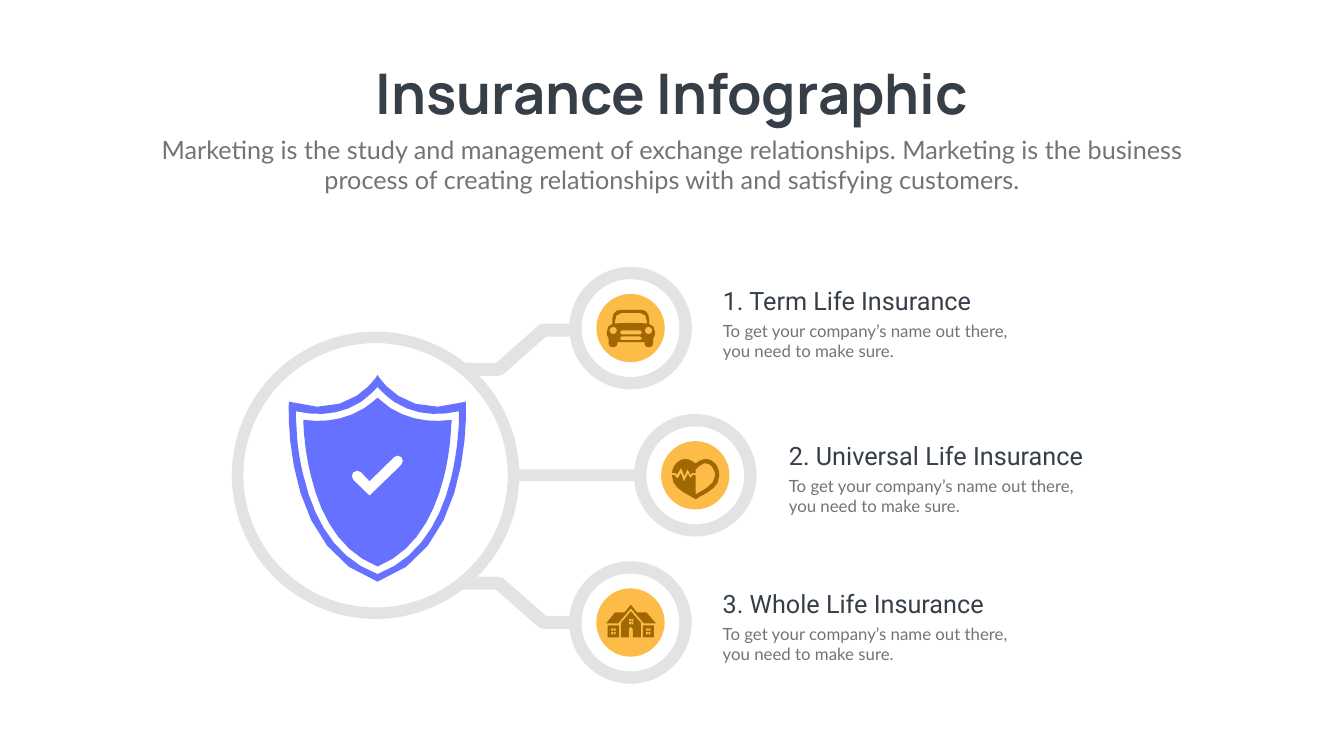
from math import ceil, dist, sqrt

from pptx import Presentation
from pptx.dml.color import RGBColor as RGB
from pptx.enum.shapes import MSO_SHAPE as SHAPE
from pptx.enum.text import PP_ALIGN as ALIGN
from pptx.util import Pt

DARK, GREY = RGB(0x36, 0x3E, 0x48), RGB(0x73, 0x75, 0x72)
TRACK, WHITE = RGB(0xE3, 0xE3, 0xE3), RGB(0xFF, 0xFF, 0xFF)
AMBER, BROWN = RGB(0xFD, 0xBB, 0x47), RGB(0xA0, 0x67, 0x02)
BLUE = RGB(0x66, 0x72, 0xFF)

TITLE = dict(name="Manrope", size=Pt(80), bold=True)
LEAD = dict(name="Lato", size=Pt(36))
HEADING = dict(name="Roboto", size=Pt(36))
BODY = dict(name="Lato", size=Pt(24))

UNIT = 0.72   # points per outline unit


# Outline pieces, in units around the centre of the outline
def bar(x, y, w, h):
    return f"M {x} {y} L {x + w} {y} {x + w} {y + h} {x} {y + h} Z "


def dot(x, y, r):
    k = 0.55 * r
    return (f"M {x + r} {y} C {x + r} {y + k} {x + k} {y + r} {x} {y + r} "
            f"{x - k} {y + r} {x - r} {y + k} {x - r} {y} "
            f"{x - r} {y - k} {x - k} {y - r} {x} {y - r} "
            f"{x + k} {y - r} {x + r} {y - k} {x + r} {y} Z ")


def pill(x, y, w, h):
    r, b = x + w, y + h
    return (f"M {x} {y} L {r} {y} C {r + 4} {y} {r + 4} {b} {r} {b} "
            f"L {x} {b} C {x - 4} {b} {x - 4} {y} {x} {y} Z ")


def panes(x, y, gap):
    return "".join(bar(x + i * 5, y + j * gap, 4, 5)
                   for i in range(2) for j in range(2))


ELBOW = ("M 82 199 L 243 199 253 202 338 277 445 277 "
         "C 453 277 458 283 458 290 458 297 452 303 445 303 "
         "L 334 303 324 300 239 225 83 225 "
         "C 75 225 69 219 69 212 69 205 74 199 82 199 Z")

CAR = (dot(-35, 4, 7.5) + dot(35, 4, 7.5) + pill(-19, 4, 38, 8) + pill(-19, 16, 38, 7)
       + "M 44 20 L 44 31 C 44 34 41 37 37 37 L 33 37 C 30 37 27 34 27 31 "
       "L 27 27 -27 27 -27 31 C -27 34 -30 37 -33 37 L -38 37 "
       "C -41 37 -44 34 -44 31 L -44 20 C -47 17 -48 12 -48 8 "
       "-48 -2 -44 -7 -37 -9 L -37 -19 C -37 -29 -30 -37 -21 -37 L 21 -37 "
       "C 30 -37 36 -29 36 -19 L 36 -9 C 43 -7 48 -2 48 8 48 12 47 17 44 20 Z "
       "M 0 -11 L 32 -10 32 -13 C 32 -23 28 -31 18 -31 "
       "L -18 -31 C -28 -31 -32 -23 -32 -13 L -32 -10 Z")

HEART = ("M 0 -24 C -4 -28 -9 -30 -14 -32 -19 -34 -25 -33 -30 -31 "
         "-35 -28 -39 -25 -42 -20 -45 -16 -46 -11 -47 -5 "
         "L -39 -5 -37 -2 -31 -12 -29 -16 -27 -11 -22 1 -18 -9 -16 -13 "
         "-14 -9 -10 -2 -7 -5 0 -5 0 -12 3 -15 C 6 -19 11 -22 16 -24 "
         "19 -25 23 -24 26 -23 30 -21 32 -19 34 -15 37 -11 39 -6 39 -1 "
         "39 16 22 25 4 35 L 0 37 0 -1 -5 -1 -9 3 -11 5 -12 2 -15 -4 "
         "-21 7 -23 12 -25 7 -29 -5 -34 3 -36 6 -38 4 -42 -1 -47 -1 "
         "C -47 21 -29 31 -8 42 L 0 47 8 42 C 29 31 47 21 47 -1 "
         "47 -8 45 -14 42 -20 39 -25 35 -28 30 -31 25 -33 19 -34 14 -32 "
         "9 -30 4 -28 0 -24 Z")

HOUSE = (bar(-46, 5, 23, 24) + panes(-39, 11, 7) + bar(24, 5, 22, 24)
         + panes(30, 11, 7) + panes(-4, -8, 6)
         + "M 20 29 L 20 0 0 -23 -19 0 -19 29 -4 29 -4 14 "
         "-3 10 0 8 3 10 4 14 4 29 Z "
         "M -12 -21 L -31 -21 -49 1 -25 1 0 -29 26 1 50 1 31 -21 12 -21 0 -36 Z")

SHIELD = ("M -176 -146 C -176 -146 -193 146 0 211 192 146 175 -146 175 -146 "
          "52 -106 0 -199 0 -199 0 -199 -53 -106 -176 -146 Z "
          "M -147 -110 C -106 -104 -64 -110 -27 -133 -17 -140 -8 -147 0 -154 "
          "8 -147 17 -140 26 -133 63 -110 105 -104 147 -110 "
          "147 -107 147 -103 146 -100 145 -66 140 -32 132 2 113 78 75 151 0 181 "
          "-76 151 -114 78 -132 2 -141 -32 -145 -66 -147 -100 Z "
          "M 161 -127 C 161 -118 161 -108 161 -99 159 -64 154 -29 146 5 "
          "126 88 83 165 0 196 -84 165 -126 88 -146 5 -155 -29 -160 -64 -161 -99 "
          "-162 -108 -162 -118 -162 -127 -118 -117 -73 -120 -34 -145 "
          "-22 -154 -10 -164 0 -175 10 -164 21 -154 34 -145 73 -120 118 -117 161 -127 Z")

CHECK = ("M -16 40 L -48 9 C -52 4 -52 -2 -48 -6 -43 -10 -37 -10 -33 -6 "
         "L -16 12 33 -36 C 36 -40 43 -40 47 -36 51 -32 51 -26 47 -21 Z")


def paint(sp, color):
    sp.shadow.inherit = False
    sp.fill.solid()
    sp.fill.fore_color.rgb = color
    sp.line.fill.background()
    return sp


def bezier(points, t):
    weights = ((1 - t) ** 3, 3 * t * (1 - t) ** 2, 3 * t * t * (1 - t), t ** 3)
    return tuple(sum(w * p[i] for w, p in zip(weights, points)) for i in (0, 1))


def contour_points(text):
    """Turn one contour of M, L and C commands into polygon corners."""
    points, controls, command = [], [], "M"
    tokens = iter(text.split())
    for token in tokens:
        if token in "MLC":
            command = token
            continue
        point = (float(token), float(next(tokens)))
        if command != "C":
            points.append(point)
            continue
        controls.append(point)
        if len(controls) == 3:
            curve = [points[-1], *controls]
            steps = ceil(sqrt(dist(curve[0], point)) / 2.4)  # longer curves, more corners
            points += [bezier(curve, n / steps) for n in range(1, steps + 1)]
            controls = []
    return points


def add_outline(s, cx, cy, outline, color, flip=1):
    builder = None
    for text in filter(str.strip, outline.split("Z")):
        first, *rest = [((cx + x * UNIT) * 100, (cy + flip * y * UNIT) * 100)
                        for x, y in contour_points(text)]
        if builder is None:
            builder = s.shapes.build_freeform(*first, scale=Pt(1) / 100)
        else:
            builder.move_to(*first)
        builder.add_line_segments(rest, close=True)
    paint(builder.convert_to_shape(), color)


def add_circle(s, cx, cy, r, color, kind=SHAPE.OVAL):
    box = [Pt(v) for v in (cx - r, cy - r, 2 * r, 2 * r)]
    return paint(s.shapes.add_shape(kind, *box), color)


def add_text(s, x, y, w, h, text, style, color, align=ALIGN.LEFT, wrap=True):
    tf = s.shapes.add_textbox(Pt(x), Pt(y), Pt(w), Pt(h)).text_frame
    tf.word_wrap = wrap
    p = tf.paragraphs[0]
    p.alignment = align
    r = p.add_run()
    r.text = text
    for key, value in style.items():
        setattr(r.font, key, value)
    r.font.color.rgb = color


def add_header(s, x, y, w):
    add_text(s, x, y, w, 104.4, "Insurance Infographic", TITLE, DARK, ALIGN.CENTER, False)
    add_text(s, x, y + 107.3, w, 94.3,
             "Marketing is the study and management of exchange relationships. "
             "Marketing is the business process of creating relationships with "
             "and satisfying customers.", LEAD, GREY, ALIGN.CENTER)


def add_tracks(s, cx, cy):
    for flip in (-1, 1):
        add_outline(s, cx, cy + 1.4, ELBOW, TRACK, flip)
    sp = s.shapes.add_shape(SHAPE.ROUNDED_RECTANGLE, Pt(cx + 168), Pt(cy - 8.3), Pt(289), Pt(16.6))
    sp.adjustments[0] = 0.5
    paint(sp, TRACK)


def add_hub(s, cx, cy):
    add_circle(s, cx, cy, 197.3, WHITE)
    ring = add_circle(s, cx, cy, 205.2, TRACK, SHAPE.DONUT)
    ring.adjustments[0] = 0.04
    add_outline(s, cx + 2.9, cy, SHIELD, BLUE)
    add_outline(s, cx + 2.9, cy, CHECK, WHITE)


def add_node(s, cx, cy, icon):
    for r, color in ((87.5, TRACK), (69.8, WHITE), (48.8, AMBER)):
        add_circle(s, cx, cy, r, color)
    add_outline(s, cx + 0.5, cy + 0.5, icon, BROWN)


def add_caption(s, x, y, w, heading):
    add_text(s, x, y, w, 51.1, heading, HEADING, DARK)
    add_text(s, x, y + 51.1, 439.2, 65.5,
             "To get your company’s name out there, you need to make sure.", BODY, GREY)


def main():
    prs = Presentation()
    prs.slide_width, prs.slide_height = Pt(1919.5), Pt(1080)
    s = prs.slides.add_slide(prs.slide_layouts[6])
    hub_x, hub_y, pitch = 536.4, 679, 210.3

    add_header(s, 210.2, 80.6, 1499)
    add_tracks(s, hub_x, hub_y)
    # Node centre, icon, caption top and width, heading
    items = [(900.6, CAR, 403.9, 439.2, "1. Term Life Insurance"),
             (993, HEART, 625, 469.4, "2. Universal Life Insurance"),
             (900.4, HOUSE, 836.6, 439.2, "3. Whole Life Insurance")]
    for row, (x, icon, top, width, heading) in enumerate(items, -1):
        add_node(s, x, hub_y + row * pitch, icon)
        add_caption(s, x + (126.6 if row == 0 else 124.7), top, width, heading)
    add_hub(s, hub_x, hub_y)
    prs.save("out.pptx")


if __name__ == "__main__":
    main()
